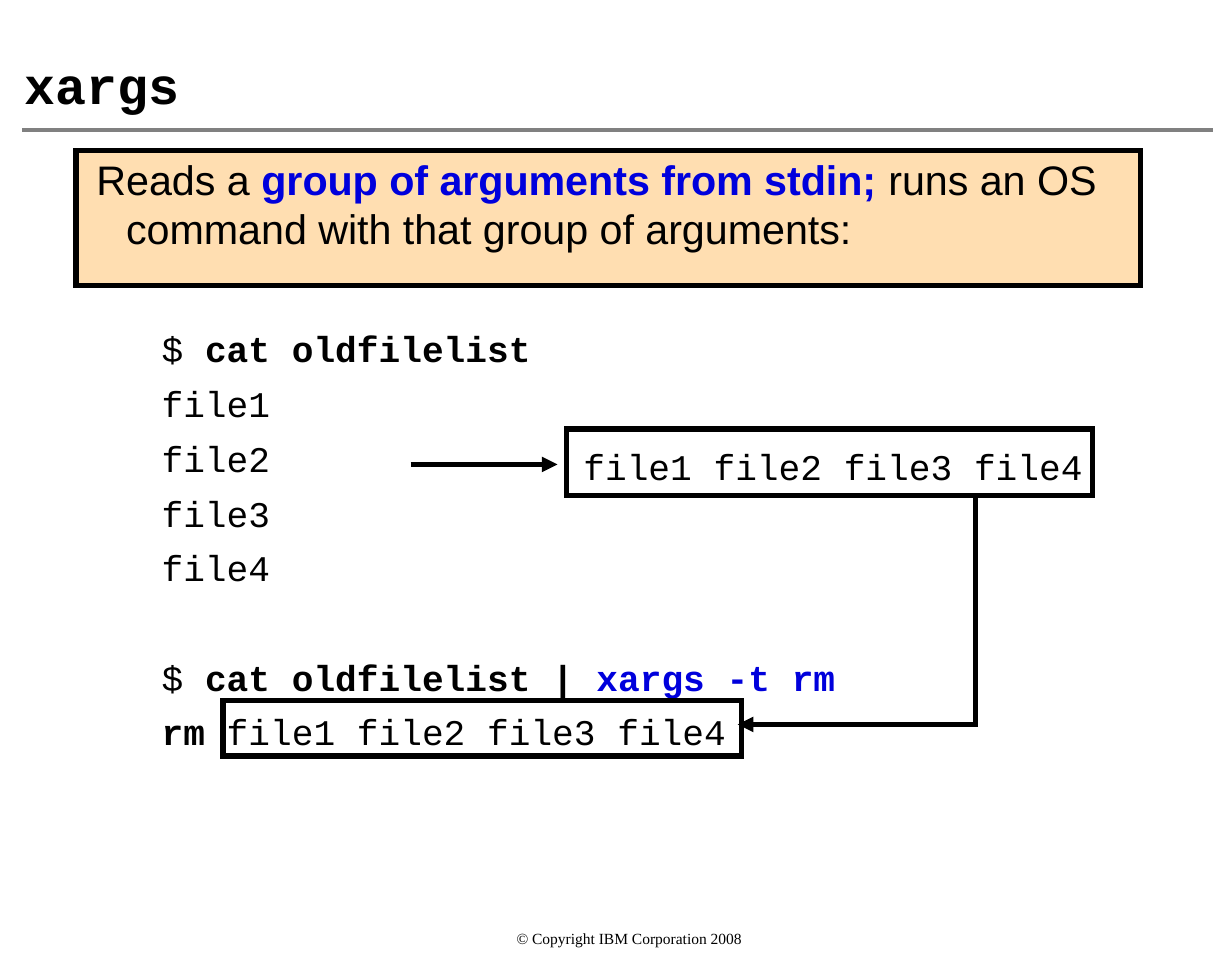
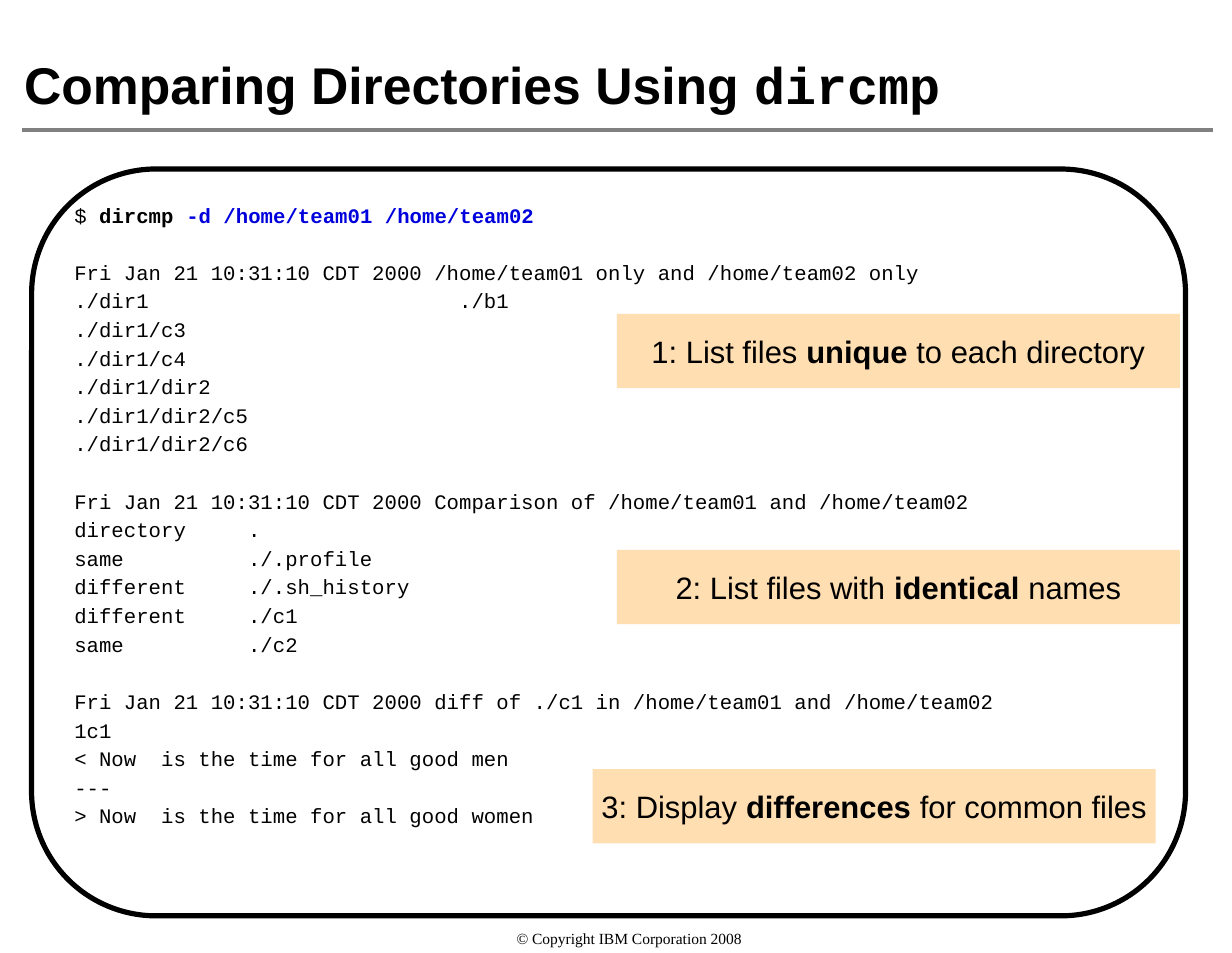
from lxml.etree import SubElement
from pptx import Presentation
from pptx.dml.color import RGBColor
from pptx.enum.shapes import MSO_CONNECTOR as CONN, MSO_SHAPE as SHAPE
from pptx.enum.text import MSO_ANCHOR as ANCHOR, MSO_AUTO_SIZE as AUTO, PP_ALIGN as ALIGN
from pptx.oxml.ns import qn
from pptx.util import Inches, Pt

COLORS = {"ink": "000000", "key": "0000DC", "band": "FFDEB1", "rule": "808080"}
SANS, MONO, SERIF = "Arial", "Courier New", "Times New Roman"
FOOTER = "© Copyright IBM Corporation 2008"

# Content: a paragraph is a list of runs, a run is (text, style);
# styles are "" plain, "b" bold, "k" bold in the key colour, "m" bold monospace.
XARGS_TITLE = [("xargs", "m")]
XARGS_INTRO = [("Reads a ", ""), ("group of arguments from stdin;", "k"),
               (" runs an OS command with that group of arguments:", "")]
FILES = "file1 file2 file3 file4"
# Blocks of code lines, parted by a gap of one line
XARGS_CODE = [
    [[("$ ", ""), ("cat oldfilelist", "b")], "file1", "file2", "file3", "file4"],
    [[("$ ", ""), ("cat oldfilelist | ", "b"), ("xargs -t rm", "k")],
     [("rm", "b"), (" " + FILES, "")]],
]

DIRCMP_TITLE = [("Comparing Directories Using ", "b"), ("dircmp", "m")]
DIRCMP_CODE = [
    [[("$ ", ""), ("dircmp ", "b"), ("-d /home/team01 /home/team02", "k")]],
    ["Fri Jan 21 10:31:10 CDT 2000 /home/team01 only and /home/team02 only",
     "./dir1                         ./b1",
     "./dir1/c3",
     "./dir1/c4",
     "./dir1/dir2",
     "./dir1/dir2/c5",
     "./dir1/dir2/c6"],
    ["Fri Jan 21 10:31:10 CDT 2000 Comparison of /home/team01 and /home/team02",
     "directory     .",
     "same          ./.profile",
     "different     ./.sh_history",
     "different     ./c1",
     "same          ./c2"],
    ["Fri Jan 21 10:31:10 CDT 2000 diff of ./c1 in /home/team01 and /home/team02",
     "1c1",
     "< Now  is the time for all good men",
     "---",
     "> Now  is the time for all good women"],
]
# Left, top, runs
STEPS = [
    (3.32, 1.69, [("1: List files ", ""), ("unique", "b"), (" to each directory", "")]),
    (3.32, 2.96, [("2: List files with ", ""), ("identical", "b"), (" names", "")]),
    (3.19, 4.14, [("3: Display ", ""), ("differences", "b"), (" for common files", "")]),
]


def color(name):
    return RGBColor.from_string(COLORS[name])


def write(tf, paragraphs, size, font=SANS, align=ALIGN.LEFT, anchor=ANCHOR.TOP,
          insets=(0, 0, 0, 0), wrap=True, after=0, hanging=0, gaps=None):
    """Fill a text frame; gaps maps paragraph numbers to the space before, in points."""
    tf.word_wrap, tf.auto_size, tf.vertical_anchor = wrap, AUTO.NONE, anchor
    tf.margin_left, tf.margin_top, tf.margin_right, tf.margin_bottom = map(Inches, insets)
    for i, runs in enumerate(paragraphs):
        p = tf.add_paragraph() if i else tf.paragraphs[0]
        p.alignment, p.space_after = align, Pt(after)
        p.space_before = Pt((gaps or {}).get(i, 0))
        if hanging:
            pPr = p._p.get_or_add_pPr()
            pPr.set("marL", str(Inches(hanging)))
            pPr.set("indent", str(-Inches(hanging)))
        for text, style in [(runs, "")] if isinstance(runs, str) else runs:
            r = p.add_run()
            r.text = text
            r.font.size, r.font.bold = Pt(size), style != ""
            r.font.name = MONO if style == "m" else font
            r.font.color.rgb = color("key" if style == "k" else "ink")


def add_text(s, box, paragraphs, size, **fmt):
    tb = s.shapes.add_textbox(*map(Inches, box))
    write(tb.text_frame, paragraphs, size, **fmt)


def add_code(s, box, blocks, size, after):
    gaps, lines = {}, []
    for block in blocks:
        if lines:
            gaps[len(lines)] = size * 1.2 + after
        lines += block
    add_text(s, box, lines, size, font=MONO, after=after, gaps=gaps, wrap=False)


def add_box(s, box, fill=None, outline=True, kind=SHAPE.RECTANGLE):
    sp = s.shapes.add_shape(kind, *map(Inches, box))
    sp.shadow.inherit = False
    if fill:
        sp.fill.solid()
        sp.fill.fore_color.rgb = color(fill)
    else:
        sp.fill.background()
    if outline:
        draw_line(sp)
    else:
        sp.line.fill.background()
    return sp


def draw_line(sp, name="ink", width=2, arrow=False):
    sp.line.color.rgb, sp.line.width = color(name), Pt(width)
    ln = sp.line._get_or_add_ln()
    SubElement(ln, qn("a:miter"), lim="800000")
    if arrow:
        SubElement(ln, qn("a:tailEnd"), type="triangle")


def add_line(s, start, end, **fmt):
    line = s.shapes.add_connector(CONN.STRAIGHT, *map(Inches, start + end))
    draw_line(line, **fmt)
    SubElement(line._element.spPr, qn("a:effectLst"))


def add_slide(prs, title):
    """Title, rule and footer shared by the slides."""
    s = prs.slides.add_slide(prs.slide_layouts[5])
    ph = s.shapes.title
    ph.left, ph.top, ph.width, ph.height = map(Inches, (0.06, 0.06, 6.49, 0.59))
    write(ph.text_frame, [title], 20, anchor=ANCHOR.BOTTOM, insets=(0.07, 0.03, 0.07, 0.03))
    add_line(s, (0.12, 0.7), (6.53, 0.7), name="rule", width=1.25)
    add_text(s, (0.24, 5, 6.29, 0.13), [FOOTER], 6, font=SERIF, align=ALIGN.CENTER)
    return s


def xargs_slide(prs):
    s = add_slide(prs, XARGS_TITLE)
    intro = add_box(s, (0.41, 0.81, 5.73, 0.73), fill="band")
    write(intro.text_frame, [XARGS_INTRO], 16, insets=(0.11, 0.02, 0.05, 0), hanging=0.16)
    add_code(s, (0.87, 1.76, 5, 2.4), XARGS_CODE, 14, after=4.4)

    # The file list becomes the arguments of rm
    arguments = add_box(s, (3.05, 2.31, 2.83, 0.36))
    write(arguments.text_frame, [FILES], 14, font=MONO, insets=(0.09, 0.08, 0, 0), wrap=False)
    add_box(s, (1.2, 3.77, 2.79, 0.3))
    add_line(s, (2.21, 2.5), (3, 2.5), arrow=True)
    route = s.shapes.build_freeform(Inches(5.25), Inches(2.66))
    route.add_line_segments([(Inches(5.25), Inches(3.9)), (Inches(3.97), Inches(3.9))],
                            close=False)
    elbow = route.convert_to_shape()
    elbow.shadow.inherit = False
    elbow.fill.background()
    draw_line(elbow, arrow=True)


def dircmp_slide(prs):
    s = add_slide(prs, DIRCMP_TITLE)
    for left, top, runs in STEPS:
        step = add_box(s, (left, top, 3.03, 0.4), fill="band", outline=False)
        write(step.text_frame, [runs], 12, align=ALIGN.CENTER, anchor=ANCHOR.MIDDLE)
    add_box(s, (0.17, 0.91, 6.21, 4.02), kind=SHAPE.ROUNDED_RECTANGLE)
    add_code(s, (0.4, 1.09, 5.9, 3.4), DIRCMP_CODE, 8, after=1.5)


def main():
    prs = Presentation()
    prs.slide_width, prs.slide_height = Inches(6.63), Inches(5.13)
    xargs_slide(prs)
    dircmp_slide(prs)
    prs.save("out.pptx")


if __name__ == "__main__":
    main()
